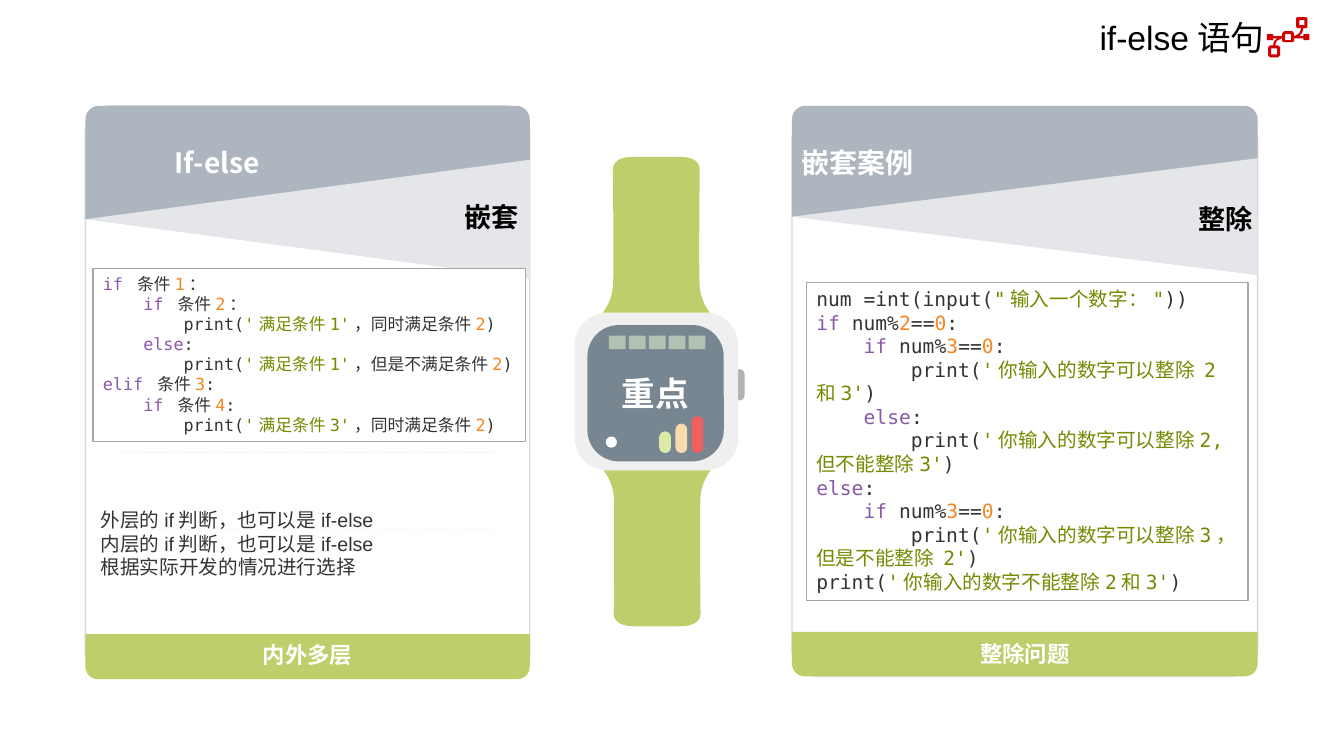
import itertools

import pptx
import pptx.dml.color
import pptx.enum.dml
import pptx.enum.shapes
import pptx.enum.text
import pptx.oxml.ns
import pptx.util
from lxml import etree

Pt = pptx.util.Pt
RGBColor = pptx.dml.color.RGBColor
SHAPE = pptx.enum.shapes.MSO_SHAPE
ALIGN = pptx.enum.text.PP_ALIGN
ANCHOR = pptx.enum.text.MSO_ANCHOR
qn = pptx.oxml.ns.qn

SANS, MONO, CJK = "Arial", "DejaVu Sans Mono", "Noto Sans CJK SC"
WHITE, BLACK = RGBColor(255, 255, 255), RGBColor(0, 0, 0)
RED = RGBColor(0xD1, 0x00, 0x01)
STEEL, MIST = RGBColor(0xAD, 0xB5, 0xBF), RGBColor(0xE4, 0xE6, 0xEA)
LIME = RGBColor(0xBF, 0xCE, 0x6A)
CARD_EDGE, CODE_EDGE = RGBColor(0xD9, 0xD9, 0xD9), RGBColor(0xA8, 0xA6, 0xA1)
DIVIDER = RGBColor(0xBF, 0xBF, 0xBF)
CROWN, CASE = RGBColor(0xB2, 0xB2, 0xB2), RGBColor(0xEF, 0xEF, 0xEF)
SCREEN, BLOCK = RGBColor(0x77, 0x86, 0x91), RGBColor(0xB1, 0xC2, 0xB3)
INK, KEYWORD = RGBColor(0x33, 0x33, 0x33), RGBColor(0x89, 0x59, 0xA8)
NUMBER, STRING = RGBColor(0xF5, 0x87, 0x1F), RGBColor(0x71, 0x8C, 0x00)

KEYWORDS = ("if", "elif", "else")
NESTING_CODE = [
    "if 条件1：",
    "    if 条件2：",
    "        print('满足条件1'，同时满足条件2)",
    "    else:",
    "        print('满足条件1'，但是不满足条件2)",
    "elif 条件3:",
    "    if 条件4:",
    "        print('满足条件3'，同时满足条件2)",
]
DIVISION_CODE = [
    'num =int(input("输入一个数字："))',
    "if num%2==0:",
    "    if num%3==0:",
    "        print('你输入的数字可以整除 2和3')",
    "    else:",
    "        print('你输入的数字可以整除2,但不能整除3')",
    "else:",
    "    if num%3==0:",
    "        print('你输入的数字可以整除3，但是不能整除 2')",
    "print('你输入的数字不能整除2和3')",
]
NOTES = ["外层的if判断，也可以是if-else", "内层的if判断，也可以是if-else", "根据实际开发的情况进行选择"]

# Boxes are left, top, width, height
CARDS = [
    dict(body=(61, 75.6, 317.4, 409), header=81, fan=(156.6, 85), footer=(452.9, 32.3),
         title="If-else", title_box=(61, 97.2, 188, 37.4), title_align=ALIGN.CENTER,
         subtitle="嵌套", subtitle_box=(234, 139.7, 144, 32.4),
         base="内外多层", base_spacing=1.0,
         code=NESTING_CODE, code_box=(66.4, 191.7, 308.9, 123.8), code_size=12),
    dict(body=(565.7, 80.6, 332.6, 402.5), header=79.3, fan=(154.8, 83.5), footer=(451.3, 31.8),
         title="嵌套案例", title_box=(565.7, 97.2, 196.6, 37.4), title_align=ALIGN.LEFT,
         subtitle="整除", subtitle_box=(751, 141.1, 151.2, 31),
         base="整除问题", base_spacing=1.1,
         code=DIVISION_CODE, code_box=(576, 201.6, 315.4, 227.5), code_size=14),
]
CARD_TOP = 75.6
DIVIDER_TOPS = (323.3, 378)
BARS = [(RGBColor(0xDD, 0xEA, 0xA7), 15.5), (RGBColor(0xFA, 0xDB, 0xAE), 21),
        (RGBColor(0xF0, 0x60, 0x60), 26.3)]
STRAP_START = (38.2, 0)
STRAP_CURVES = [
    ((38.2, 0), (31.9, 7.9), (31, 18)),
    ((30.2, 28.1), (31, 102.2), (31, 102.2)),
    ((31, 102.2), (32, 111.4), (16.6, 111.4)),
]
ICON_OUTLINE = [
    (931, 24.5), (931, 25.9), (928.1, 25.9), (930.2, 23.4), (931, 20.2), (933.4, 20.2),
    (933.8, 19.4), (933.8, 13), (933.1, 12.2), (926.6, 12.2), (925.9, 13), (925.9, 19.4),
    (926.6, 20.2), (929.5, 20.2), (928.1, 23.8), (924.5, 25.9), (924.5, 23.8), (923, 22.3),
    (917.3, 22.3), (915.8, 23.8), (915.8, 25.9), (909.4, 25.9), (909.4, 24.5), (905, 24.5),
    (905, 28.8), (909.4, 28.8), (909.4, 27.4), (912.2, 27.4), (910, 29.5), (909.4, 32.4),
    (907.2, 32.4), (905.8, 33.8), (905.8, 39.6), (907.2, 41), (913, 41), (914.4, 39.6),
    (914.4, 33.8), (913, 32.4), (910.8, 32.4), (912, 29.2), (915.8, 27.4), (915.8, 29.5),
    (917.3, 30.2), (923, 30.2), (924.5, 29.5), (924.5, 27.4), (931, 27.4), (931, 28.8),
    (935.3, 28.8), (935.3, 24.5),
]
ICON_HOLES = [(928.1, 14.4, 3.6), (907.9, 34.6, 4.3), (918, 24.5, 4.3)]

deck = pptx.Presentation()
deck.slide_width, deck.slide_height = Pt(960), Pt(540)
page = deck.slides.add_slide(deck.slide_layouts[6])


def paint(shape, fill, line=None):
    shape.shadow.inherit = False
    shape.fill.solid()
    shape.fill.fore_color.rgb = fill
    if line is None:
        shape.line.fill.background()
    else:
        shape.line.color.rgb = line
        shape.line.width = Pt(1)
    return shape


def add_shape(kind, box, fill, line=None, adjustments=()):
    shape = page.shapes.add_shape(kind, *map(Pt, box))
    for index, value in enumerate(adjustments):
        shape.adjustments[index] = value
    return paint(shape, fill, line)


def add_outline(contours, fill):
    def in_points(contour):
        return [(Pt(x), Pt(y)) for x, y in contour]

    first, *others = map(in_points, contours)
    builder = page.shapes.build_freeform(*first[0], scale=1.0)
    builder.add_line_segments(first[1:], close=True)
    for contour in others:
        builder.move_to(*contour[0])
        builder.add_line_segments(contour[1:], close=True)
    return paint(builder.convert_to_shape(), fill)


def write(shape, lines, size, font, colour, bold=False, align=ALIGN.LEFT,
          anchor=ANCHOR.TOP, wrap=True, spacing=None):
    """Fill a shape with paragraphs; a line is a string or a list of (text, colour)."""
    frame = shape.text_frame
    frame.word_wrap = wrap
    frame.vertical_anchor = anchor
    for index, line in enumerate(lines):
        para = frame.paragraphs[0] if index == 0 else frame.add_paragraph()
        para.alignment = align
        para.line_spacing = spacing
        para.font.size, para.font.name, para.font.bold = Pt(size), font, bold
        para.font.color.rgb = colour
        defaults = para._p.pPr.find(qn("a:defRPr"))
        etree.SubElement(defaults, qn("a:ea"), typeface=CJK)
        for text, span_colour in [(line, colour)] if isinstance(line, str) else line:
            span = para.add_run()
            span.text = text
            if span_colour != colour:
                span.font.color.rgb = span_colour


def add_text(box, lines, size, font, colour, **options):
    write(page.shapes.add_textbox(*map(Pt, box)), lines, size, font, colour, **options)


def highlight(line):
    """Split a line of code into (text, colour) by keyword, string and number."""
    body = line.lstrip()
    indent = len(line) - len(body)
    word = next((word for word in KEYWORDS if body.startswith(word)), "")
    colours, quote = [], ""
    for position, char in enumerate(line):
        if quote:
            colours.append(STRING)
            quote = "" if char == quote else quote
        elif char in "'\"":
            colours.append(STRING)
            quote = char
        elif indent <= position < indent + len(word):
            colours.append(KEYWORD)
        else:
            colours.append(NUMBER if char.isdigit() else INK)
    pairs = itertools.groupby(zip(line, colours), key=lambda pair: pair[1])
    return [("".join(char for char, _ in group), colour) for colour, group in pairs]


def add_card(card):
    left, _, width, _ = card["body"]
    add_shape(SHAPE.ROUNDED_RECTANGLE, card["body"], WHITE, CARD_EDGE, [0.058])
    add_shape(SHAPE.ROUND_2_SAME_RECTANGLE, (left, CARD_TOP, width, card["header"]),
              STEEL, adjustments=[0.12, 0])
    fan_middle, fan_height = card["fan"]
    fan_box = (left + (width - fan_height) / 2, fan_middle - width / 2, fan_height, width)
    add_shape(SHAPE.ISOSCELES_TRIANGLE, fan_box, MIST).rotation = 270
    add_text(card["title_box"], [card["title"]], 20, CJK, WHITE, bold=True,
             align=card["title_align"], anchor=ANCHOR.MIDDLE, wrap=False)
    add_text(card["subtitle_box"], [card["subtitle"]], 19.4, CJK, BLACK, bold=True,
             align=ALIGN.RIGHT)
    top, height = card["footer"]
    footer = add_shape(SHAPE.ROUND_2_SAME_RECTANGLE, (left, top, width, height), LIME,
                       adjustments=[0, 0.28])
    write(footer, [card["base"]], 16, CJK, WHITE, bold=True, align=ALIGN.CENTER,
          anchor=ANCHOR.MIDDLE, wrap=False, spacing=card["base_spacing"])


def add_divider(top):
    line = page.shapes.add_connector(pptx.enum.shapes.MSO_CONNECTOR.STRAIGHT,
                                     Pt(88.6), Pt(top), Pt(353.5), Pt(top))
    line.line.color.rgb = DIVIDER
    line.line.width = Pt(0.25)
    line.line.dash_style = pptx.enum.dml.MSO_LINE.DASH
    colour = line._element.spPr.find(".//" + qn("a:srgbClr"))
    etree.SubElement(colour, qn("a:alpha"), val="40000")
    etree.SubElement(line._element.spPr, qn("a:effectLst"))


def add_strap(centre, base, direction):
    """Draw half a strap from the watch case outwards and mirror it."""
    side, start = [STRAP_START], STRAP_START
    for first, second, end in STRAP_CURVES:
        for t in (step / 8 for step in range(1, 9)):
            side.append(tuple((1 - t) ** 3 * a + 3 * (1 - t) ** 2 * t * b
                              + 3 * (1 - t) * t ** 2 * c + t ** 3 * d
                              for a, b, c, d in zip(start, first, second, end)))
        start = end
    outline = side + [(-x, y) for x, y in reversed(side)]
    add_outline([[(centre + x, base + direction * y) for x, y in outline]], LIME)


def add_watch():
    add_shape(SHAPE.ROUNDED_RECTANGLE, (524.4, 263.7, 7.5, 22.3), CROWN, adjustments=[0.5])
    add_shape(SHAPE.ROUNDED_RECTANGLE, (410.5, 223.4, 116.8, 112.6), CASE, adjustments=[0.205])
    screen = add_shape(SHAPE.ROUNDED_RECTANGLE, (419.6, 232.2, 97.4, 97.4), SCREEN,
                       adjustments=[0.23])
    write(screen, ["重点"], 24, CJK, WHITE, bold=True, align=ALIGN.CENTER, anchor=ANCHOR.MIDDLE)
    add_strap(469.4, 336, 1)
    add_strap(468.8, 223.4, -1)
    for index, (colour, height) in enumerate(BARS):
        add_shape(SHAPE.ROUNDED_RECTANGLE, (470.9 + 11.6 * index, 323.6 - height, 8.4, height),
                  colour, adjustments=[0.5])
    for index in range(5):
        add_shape(SHAPE.RECTANGLE, (434.9 + 14.25 * index, 239.8, 12, 9.6), BLOCK)
    add_shape(SHAPE.OVAL, (432.7, 311.8, 8, 8), WHITE)


holes = [[(x, y), (x + side, y), (x + side, y + side), (x, y + side)]
         for x, y, side in ICON_HOLES]
add_outline([ICON_OUTLINE] + holes, RED)
add_text((778.3, 8.6, 132.5, 36), ["if-else语句"], 24, SANS, BLACK, wrap=False)
for card in CARDS:
    add_card(card)
for top in DIVIDER_TOPS:
    add_divider(top)
for card in CARDS:
    code_box = add_shape(SHAPE.RECTANGLE, card["code_box"], WHITE, CODE_EDGE)
    write(code_box, [highlight(line) for line in card["code"]], card["code_size"], MONO, INK)
add_text((64.8, 359.3, 330.5, 59.8), NOTES, 14, SANS, INK)
add_watch()
deck.save("out.pptx")
